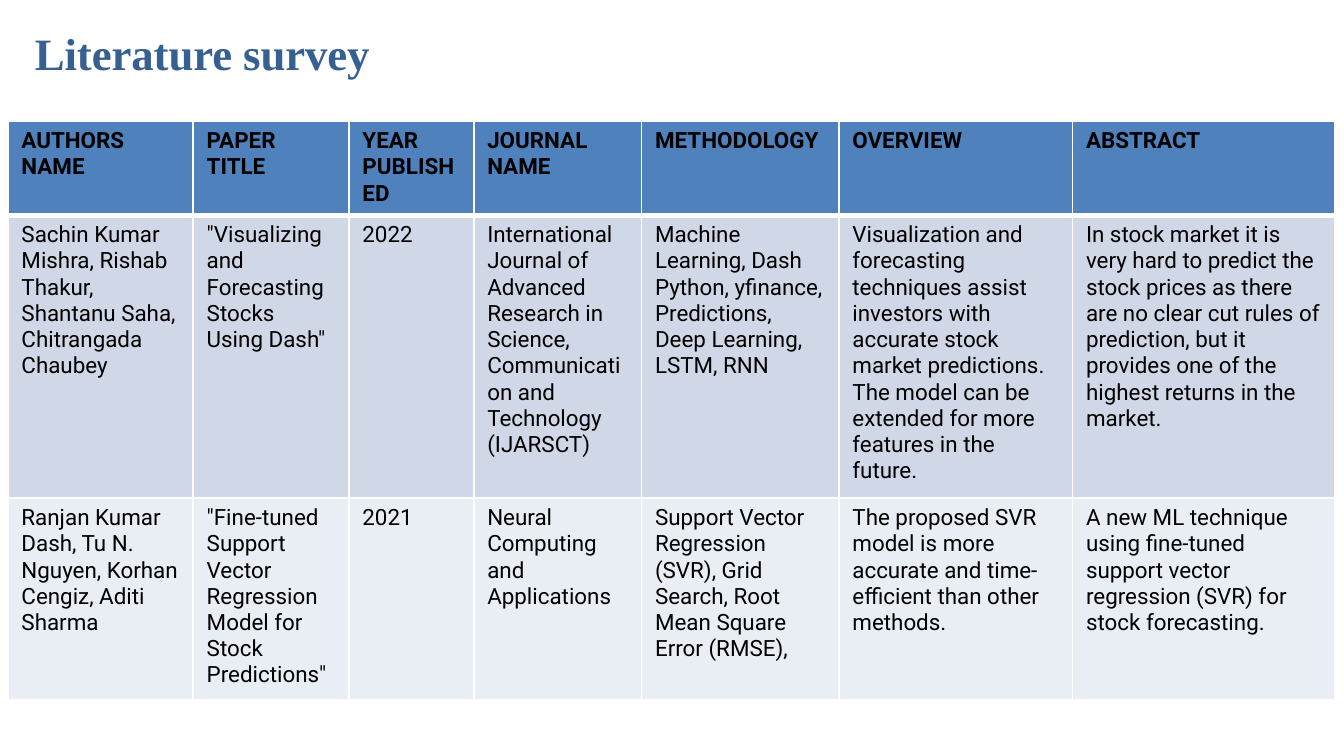
from dataclasses import dataclass

from lxml import etree
from pptx import Presentation
from pptx import util as u
from pptx.dml.color import RGBColor
from pptx.oxml import ns


@dataclass(frozen=True)
class Theme:
    """Colours, fonts and type sizes of the slide."""
    title_font: str = "Times New Roman"
    body_font: str = "Roboto"
    title_size: int = 24
    body_size: int = 12
    title: str = "376092"
    text: str = "000000"
    border: str = "FFFFFF"
    rows: tuple = ("4F81BD", "D0D8E8", "E9EDF4")


THEME = Theme()
COLUMN_WIDTHS = (1.38, 1.16, 0.93, 1.25, 1.47, 1.74, 1.95)
ROW_HEIGHTS = (0.69, 2.1, 1.5)
SURVEY = (
    ("AUTHORS NAME", "PAPER TITLE", "YEAR PUBLISHED", "JOURNAL NAME",
     "METHODOLOGY", "OVERVIEW", "ABSTRACT"),
    ("Sachin Kumar Mishra, Rishab Thakur, Shantanu Saha, Chitrangada Chaubey",
     '"Visualizing and Forecasting Stocks Using Dash"',
     "2022",
     "International Journal of Advanced Research in Science, "
     "Communication and Technology (IJARSCT)",
     "Machine Learning, Dash Python, yfinance, Predictions, "
     "Deep Learning, LSTM, RNN",
     "Visualization and forecasting techniques assist investors with accurate "
     "stock market predictions. The model can be extended for more features "
     "in the future.",
     "In stock market it is very hard to predict the stock prices as there are "
     "no clear cut rules of prediction, but it provides one of the highest "
     "returns in the market."),
    ("Ranjan Kumar Dash, Tu N. Nguyen, Korhan Cengiz, Aditi Sharma",
     '"Fine-tuned Support Vector Regression Model for Stock Predictions"',
     "2021",
     "Neural Computing and Applications",
     "Support Vector Regression (SVR), Grid Search, "
     "Root Mean Square Error (RMSE),",
     "The proposed SVR model is more accurate and time-efficient "
     "than other methods.",
     "A new ML technique using fine-tuned support vector regression (SVR) "
     "for stock forecasting."),
)


def style_font(font, name, size, color, bold):
    """Set the look of a font."""
    font.name = name
    font.size = u.Pt(size)
    font.bold = bold
    font.color.rgb = RGBColor.from_string(color)


def add_title(slide, left, top, width, height):
    """Place the slide title in the given box."""
    frame = slide.shapes.add_textbox(left, top, width, height).text_frame
    frame.word_wrap = True
    frame.margin_left = frame.margin_right = frame.margin_bottom = 0
    frame.margin_top = u.Inches(0.29)
    paragraph = frame.paragraphs[0]
    run = paragraph.add_run()
    run.text = "Literature survey"
    style_font(paragraph.font, THEME.title_font, THEME.title_size,
               THEME.title, True)
    properties = paragraph._p.get_or_add_pPr()
    properties.set("marL", str(u.Inches(0.01)))
    run.font._element.set("spc", "-5")


def set_borders(cell, bottom_width):
    """Draw one-point cell borders with a chosen bottom width."""
    properties = cell._tc.get_or_add_tcPr()
    widths = {"lnL": 1, "lnR": 1, "lnT": 1, "lnB": bottom_width}
    for index, (side, width) in enumerate(widths.items()):
        line = etree.Element(ns.qn(f"a:{side}"), w=str(u.Pt(width)))
        fill = etree.SubElement(line, ns.qn("a:solidFill"))
        etree.SubElement(fill, ns.qn("a:srgbClr"), val=THEME.border)
        properties.insert(index, line)


def add_survey_table(slide, left, top, width, height):
    """Place the survey table, sharing the box by the column and row sizes."""
    table = slide.shapes.add_table(
        len(SURVEY), len(COLUMN_WIDTHS), left, top, width, height).table
    for column, share in zip(table.columns, COLUMN_WIDTHS):
        column.width = int(width * share / sum(COLUMN_WIDTHS))
    for row, share in zip(table.rows, ROW_HEIGHTS):
        row.height = int(height * share / sum(ROW_HEIGHTS))
    for row_index, (row, texts) in enumerate(zip(table.rows, SURVEY)):
        is_header = row_index == 0
        for cell, text in zip(row.cells, texts):
            cell.text = text
            style_font(cell.text_frame.paragraphs[0].font, THEME.body_font,
                       THEME.body_size, THEME.text, is_header)
            cell.fill.solid()
            cell.fill.fore_color.rgb = RGBColor.from_string(
                THEME.rows[row_index])
            set_borders(cell, 3 if is_header else 1)


def main():
    """Build the literature survey slide."""
    presentation = Presentation()
    presentation.slide_width = u.Inches(10)
    presentation.slide_height = u.Inches(10) * 9 // 16
    slide = presentation.slides.add_slide(presentation.slide_layouts[6])
    add_title(slide, u.Inches(0.25), u.Inches(-0.1),
              u.Inches(4.07), u.Inches(0.7))
    add_survey_table(slide, u.Inches(0.06), u.Inches(0.9),
                     u.Inches(9.87), u.Inches(4.3))
    presentation.save("out.pptx")


if __name__ == "__main__":
    main()
